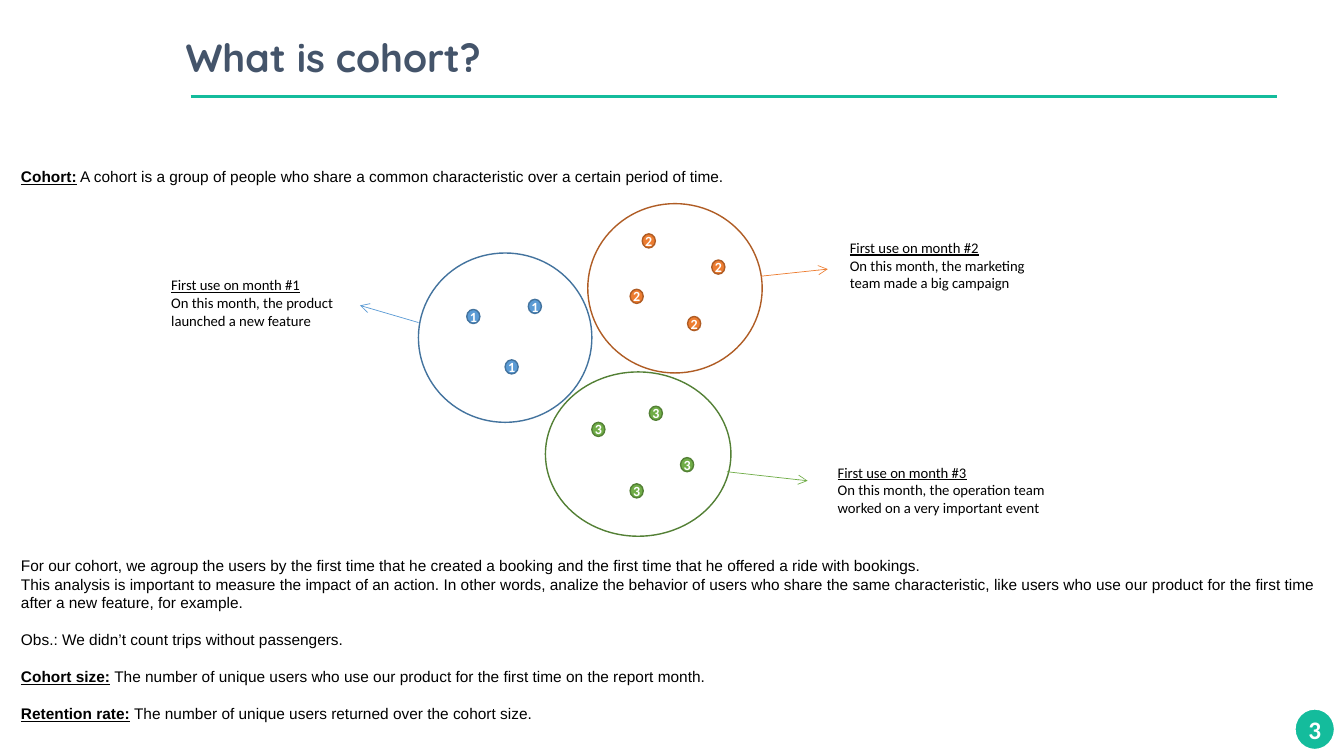
from lxml import etree
from pptx import Presentation
from pptx.dml.color import RGBColor
from pptx.enum.shapes import MSO_CONNECTOR, MSO_SHAPE
from pptx.enum.text import MSO_ANCHOR, PP_ALIGN
from pptx.oxml.ns import qn
from pptx.util import Inches, Pt

OVAL = MSO_SHAPE.OVAL
LINE = MSO_CONNECTOR.STRAIGHT
TOP, MIDDLE = MSO_ANCHOR.TOP, MSO_ANCHOR.MIDDLE
LEFT, CENTER = PP_ALIGN.LEFT, PP_ALIGN.CENTER

COLORS = {
    "white": "FFFFFF", "black": "000000", "slate": "44546A", "teal": "14BC9C",
    "blue": "5B9BD5", "navy": "43739E", "orange": "ED7D31", "rust": "AF5C24",
    "green": "70AD47", "forest": "538035",
}
FONTS = {
    "title": {"name": "Quicksand", "size": Pt(28), "bold": True},
    "body": {"name": "Arial", "size": Pt(11)},
    "term": {"name": "Arial", "size": Pt(11), "bold": True, "underline": True},
    "note": {"name": "Calibri", "size": Pt(10.5)},
    "head": {"name": "Calibri", "size": Pt(10.5), "underline": True},
    "dot": {"name": "Calibri", "size": Pt(10), "bold": True},
    "page": {"name": "Calibri", "size": Pt(18), "bold": True},
}
ROW = 13.23
BODY = [
    ("Cohort:", " A cohort is a group of people who share a common characteristic "
     "over a certain period of time.", 0),
    ("", "For our cohort, we agroup the users by the first time that he created a booking "
     "and the first time that he offered a ride with bookings.", 20),
    ("", "This analysis is important to measure the impact of an action. In other words, "
     "analize the behavior of users who share the same characteristic, like users who use "
     "our product for the first time after a new feature, for example.", 0),
    ("", "Obs.: We didn’t count trips without passengers.", 1),
    ("Cohort size:", " The number of unique users who use our product for the first time "
     "on the report month.", 1),
    ("Retention rate:", " The number of unique users returned over the cohort size.", 1),
]
GROUPS = [
    {"num": 1, "fill": "blue", "edge": "navy", "box": (4.15, 2.51, 1.72, 1.68),
     "dots": [(1.09, 0.46), (0.86, 1.06), (0.48, 0.56)],
     "arrow": (0, 0.69, -0.58, 0.52), "note": (1.6, 2.69, 1.9, 0.63),
     "text": "On this month, the product launched a new feature"},
    {"num": 3, "fill": "green", "edge": "forest", "box": (5.41, 3.69, 1.84, 1.63),
     "dots": [(1.34, 0.85), (0.84, 1.11), (1.03, 0.34), (0.46, 0.5)],
     "arrow": (1.8, 0.99, 2.6, 1.08), "note": (8.21, 4.55, 2.29, 0.63),
     "text": "On this month, the operation team worked on a very important event"},
    {"num": 2, "fill": "orange", "edge": "rust", "box": (5.83, 2.02, 1.73, 1.68),
     "dots": [(0.99, 1.12), (1.23, 0.56), (0.54, 0.3), (0.42, 0.85)],
     "arrow": (1.72, 0.72, 2.38, 0.65), "note": (8.33, 2.32, 2.05, 0.63),
     "text": "On this month, the marketing team made a big campaign"},
]


def rgb(name):
    return RGBColor.from_string(COLORS[name])


def add_run(para, text, style, color="black"):
    run = para.add_run()
    run.text = text
    for key, value in FONTS[style].items():
        setattr(run.font, key, value)
    run.font.color.rgb = rgb(color)


def add_text(slide, box):
    frame = slide.shapes.add_textbox(*map(Inches, box)).text_frame
    frame.word_wrap = True
    return frame


def add_oval(slide, box, fill, edge, width=1, text="", style="dot"):
    oval = slide.shapes.add_shape(OVAL, *map(Inches, box))
    oval.shadow.inherit = False
    oval.fill.solid()
    oval.fill.fore_color.rgb = rgb(fill)
    oval.line.color.rgb = rgb(edge)
    oval.line.width = Pt(width)
    if text:
        frame = oval.text_frame
        for side in ("left", "right", "top", "bottom"):
            setattr(frame, "margin_" + side, 0)
        frame.word_wrap = False
        frame.vertical_anchor = MIDDLE
        frame.paragraphs[0].alignment = CENTER
        add_run(frame.paragraphs[0], text, style, "white")


def add_line(slide, ends, color, width, arrow=False):
    line = slide.shapes.add_connector(LINE, *map(Inches, ends))
    line.line.color.rgb = rgb(color)
    line.line.width = Pt(width)
    if arrow:
        etree.SubElement(line.line._get_or_add_ln(), qn("a:tailEnd"), type="arrow")
    etree.SubElement(line._element.spPr, qn("a:effectLst"))


def add_title(slide, box):
    left, top, width, height = box
    title = slide.shapes.title
    title.left, title.top, title.width, title.height = map(Inches, box)
    title.text_frame.vertical_anchor = TOP
    para = title.text_frame.paragraphs[0]
    para.alignment = LEFT
    add_run(para, "What is cohort?", "title", "slate")
    rule = top + height + 0.11
    add_line(slide, (left + 0.15, rule, left + 10.93, rule), "teal", 2.5)


def add_body(slide, box):
    frame = add_text(slide, box)
    for i, (term, text, gap) in enumerate(BODY):
        para = frame.add_paragraph() if i else frame.paragraphs[0]
        para.line_spacing = Pt(ROW)
        para.space_before = Pt(gap * ROW)
        if term:
            add_run(para, term, "term")
        add_run(para, text, "body")


def add_group(slide, group):
    left, top = group["box"][:2]
    fill, edge, num = group["fill"], group["edge"], group["num"]
    add_oval(slide, group["box"], "white", edge)
    for x, y in group["dots"]:
        add_oval(slide, (left + x, top + y, 0.13, 0.14), fill, edge, text=str(num))
    x1, y1, x2, y2 = group["arrow"]
    add_line(slide, (left + x1, top + y1, left + x2, top + y2), fill, 0.5, True)
    frame = add_text(slide, group["note"])
    add_run(frame.paragraphs[0], f"First use on month #{num}", "head")
    add_run(frame.add_paragraph(), group["text"], "note")


def main():
    deck = Presentation()
    deck.slide_width, deck.slide_height = Inches(13.33), Inches(7.5)
    slide = deck.slides.add_slide(deck.slide_layouts[5])
    add_title(slide, (1.74, 0.28, 8.92, 0.57))
    add_body(slide, (0.11, 1.61, 13.07, 5.84))
    for group in GROUPS:
        add_group(slide, group)
    add_oval(slide, (12.84, 7.03, 0.4, 0.41), "teal", "white", 1.5, "3", "page")
    deck.save("out.pptx")


if __name__ == "__main__":
    main()
